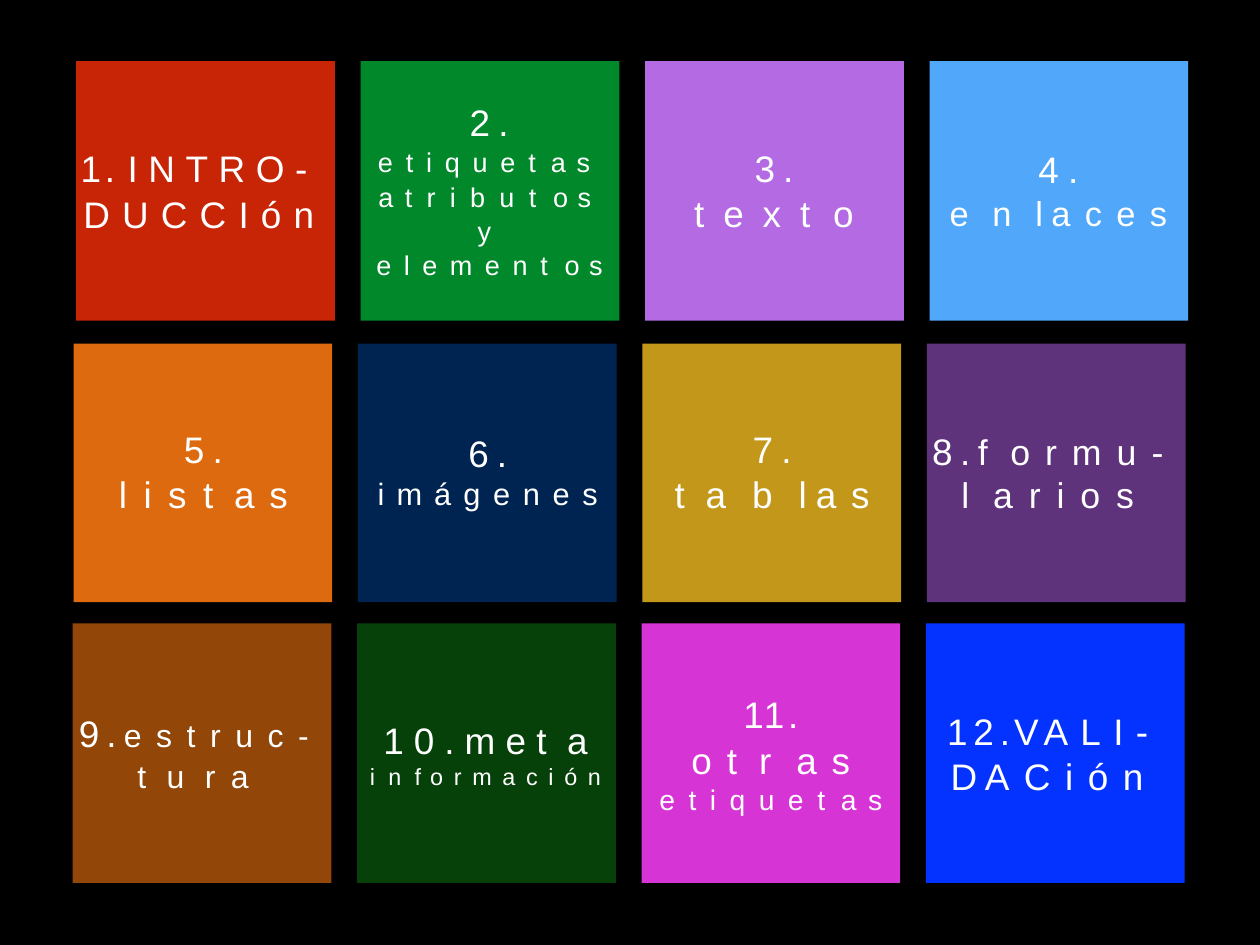
"""Build a slide with a four-by-three grid of numbered HTML course topics."""
from dataclasses import dataclass
from typing import NamedTuple, Optional, Union

import pptx
import pptx.dml.color
import pptx.enum.shapes
import pptx.enum.text
import pptx.oxml
import pptx.oxml.ns
import pptx.slide
import pptx.text.text
import pptx.util

Inches = pptx.util.Inches
Pt = pptx.util.Pt
RGBColor = pptx.dml.color.RGBColor
LEFT = pptx.enum.text.PP_ALIGN.LEFT
CENTER = pptx.enum.text.PP_ALIGN.CENTER

BLACK = RGBColor(0x00, 0x00, 0x00)
WHITE = RGBColor(0xFF, 0xFF, 0xFF)
RED = RGBColor(0xC8, 0x25, 0x06)
GREEN = RGBColor(0x00, 0x88, 0x2B)
LILAC = RGBColor(0xB3, 0x6A, 0xE2)
SKY = RGBColor(0x51, 0xA7, 0xF9)
ORANGE = RGBColor(0xDE, 0x6A, 0x10)
NAVY = RGBColor(0x00, 0x24, 0x52)
GOLD = RGBColor(0xC3, 0x97, 0x1A)
PURPLE = RGBColor(0x5F, 0x32, 0x7C)
BROWN = RGBColor(0x92, 0x46, 0x07)
FOREST = RGBColor(0x05, 0x41, 0x09)
MAGENTA = RGBColor(0xD7, 0x34, 0xD5)
BLUE = RGBColor(0x04, 0x33, 0xFF)

COLUMNS = 4
COLUMN_PITCH = 3.21
TILE_WIDTH = 2.92


class Row(NamedTuple):
    left: float
    top: float
    height: float


ROWS = [Row(0.86, 0.69, 2.93), Row(0.83, 3.88, 2.92), Row(0.82, 7.04, 2.93)]


class Box(NamedTuple):
    left: float
    top: float
    width: float
    height: float


class Run(NamedTuple):
    text: str
    tracking: float
    size: float = 30


@dataclass
class Para:
    runs: list[Run]
    spacing: Optional[Union[float, pptx.util.Length]] = None
    before: float = 0
    align: pptx.enum.text.PP_ALIGN = CENTER
    margin: float = 0
    indent: float = 0
    tab: Optional[float] = None


@dataclass
class Tile:
    color: RGBColor
    box: Box
    paras: list[Para]


def number(text: str, tracking: float) -> Para:
    return Para([Run(text, tracking)])


TILES = [
    Tile(RED, Box(0.89, 1.63, 2.85, 1.02), [
        Para([Run("1.\t", 3), Run("INTRO- ", 8.6), Run("DUCCIón", 9.9)],
             1.03, align=LEFT, margin=0.05, indent=-0.03, tab=0.68)]),
    Tile(GREEN, Box(4.17, 1.12, 2.7, 2.06), [
        number("2.", 6.8),
        Para([Run("etique", 10.4, 22), Run("t", 12.2, 22), Run("as ", 8.8, 22),
              Run("a", 9.4, 22), Run("tribu", 11.6, 22), Run("t", 13.6, 22),
              Run("os ", 7.8, 22), Run("y ", 8.6, 22), Run("elemen", 10.2, 22),
              Run("t", 13.6, 22), Run("os", 7.8, 22)],
             1.06, 0.3, margin=0.01)]),
    Tile(LILAC, Box(7.73, 1.64, 2.01, 1.01), [
        number("3.", 6.6),
        Para([Run("tex", 15.3), Run("t", 18.6), Run("o", 13)], Pt(35.6), 1)]),
    Tile(SKY, Box(10.62, 1.66, 2.65, 0.97), [
        number("4.", 7.6),
        Para([Run("en", 19.3, 28), Run("l", 6.8, 28), Run("aces", 11.7, 28)],
             Pt(33.4), 0.5)]),
    Tile(ORANGE, Box(1.24, 4.82, 2.11, 1.01), [
        number("5.", 6.8),
        Para([Run("lis", 13.4), Run("t", 16.8), Run("as", 12)], Pt(35.6), 1)]),
    Tile(NAVY, Box(4.17, 4.86, 2.67, 0.92), [
        number("6.", 6.5),
        Para([Run("imá", 9.8, 25), Run("genes", 10.3, 25)], Pt(29.9), 0.2)]),
    Tile(GOLD, Box(7.51, 4.82, 2.41, 1.01), [
        number("7.", 6.8),
        Para([Run("t", 16.8), Run("ab", 21.1), Run("l", 7.5), Run("as", 12)],
             Pt(35.6), 1)]),
    Tile(PURPLE, Box(10.51, 4.83, 2.82, 0.99), [
        Para([Run("8.", 6.1), Run("f", 18.2, 29), Run("ormu- ", 12.2, 29),
              Run("l", 19.3, 29), Run("arios", 12.9, 29)],
             1.01, align=LEFT, margin=0.34, indent=-0.33)]),
    Tile(BROWN, Box(0.88, 8.01, 2.8, 0.96), [
        Para([Run("9.", 5.8), Run("estruc- ", 11.8, 26), Run("tu", 16.6, 26),
              Run("r", 12.4, 26), Run("a", 13.7, 26)],
             1.03, align=LEFT, margin=0.67, indent=-0.66)]),
    Tile(FOREST, Box(4.1, 8.1, 2.76, 0.83), [
        Para([Run("10.me", 8.2), Run("t", 16.8), Run("a", 15.8)]),
        Para([Run("in", 10.8, 19), Run("f", 7.3, 19), Run("ormación", 8.7, 19)],
             before=0.8)]),
    Tile(MAGENTA, Box(7.36, 7.81, 2.68, 1.41), [
        Para([Run("1", 0.1), Run("1.", 3)]),
        Para([Run("o", 12.1), Run("t", 17.8), Run("r", 20.4), Run("as", 12)],
             before=1),
        Para([Run("etique", 10.9, 23), Run("t", 12.8, 23), Run("as", 9.2, 23)],
             Pt(27.6), 0.8)]),
    Tile(BLUE, Box(10.68, 8, 2.45, 1.01), [
        Para([Run("12", 4.7), Run(".", 3.2), Run("V", 4), Run("ALI-", 10)],
             align=LEFT, margin=0.01),
        Para([Run("D", 6.1), Run("ACión", 11.8)],
             Pt(35.6), 1, LEFT, margin=0.05)]),
]


def fill_para(p: pptx.text.text._Paragraph, para: Para) -> None:
    p.alignment = para.align
    p.line_spacing = para.spacing
    p.space_before = Pt(para.before)
    pPr = p._p.get_or_add_pPr()
    pPr.set("marL", str(Inches(para.margin)))
    pPr.set("indent", str(Inches(para.indent)))
    if para.tab is not None:
        pPr.append(pptx.oxml.parse_xml(
            f'<a:tabLst {pptx.oxml.ns.nsdecls("a")}>'
            f'<a:tab pos="{Inches(para.tab)}" algn="l"/></a:tabLst>'))
    for run in para.runs:
        r = p.add_run()
        r.text = run.text
        r.font.name = "Arial"
        r.font.size = Pt(run.size)
        r.font.color.rgb = WHITE
        r._r.get_or_add_rPr().set("spc", str(round(run.tracking * 100)))


def draw_tile(s: pptx.slide.Slide, tile: Tile, row: Row, column: int) -> None:
    sp = s.shapes.add_shape(
        pptx.enum.shapes.MSO_SHAPE.RECTANGLE,
        Inches(row.left + column * COLUMN_PITCH), Inches(row.top),
        Inches(TILE_WIDTH), Inches(row.height))
    sp.shadow.inherit = False
    sp.fill.solid()
    sp.fill.fore_color.rgb = tile.color
    sp.line.fill.background()

    tf = s.shapes.add_textbox(*map(Inches, tile.box)).text_frame
    tf.word_wrap = True
    tf.margin_left = tf.margin_top = tf.margin_right = tf.margin_bottom = 0
    for i, para in enumerate(tile.paras):
        fill_para(tf.add_paragraph() if i else tf.paragraphs[0], para)


def main() -> None:
    prs = pptx.Presentation()
    prs.slide_width, prs.slide_height = Inches(14.22), Inches(10.67)
    s = prs.slides.add_slide(prs.slide_layouts[6])
    s.background.fill.solid()
    s.background.fill.fore_color.rgb = BLACK
    for i, tile in enumerate(TILES):
        row, column = divmod(i, COLUMNS)
        draw_tile(s, tile, ROWS[row], column)
    prs.save("out.pptx")


if __name__ == "__main__":
    main()
